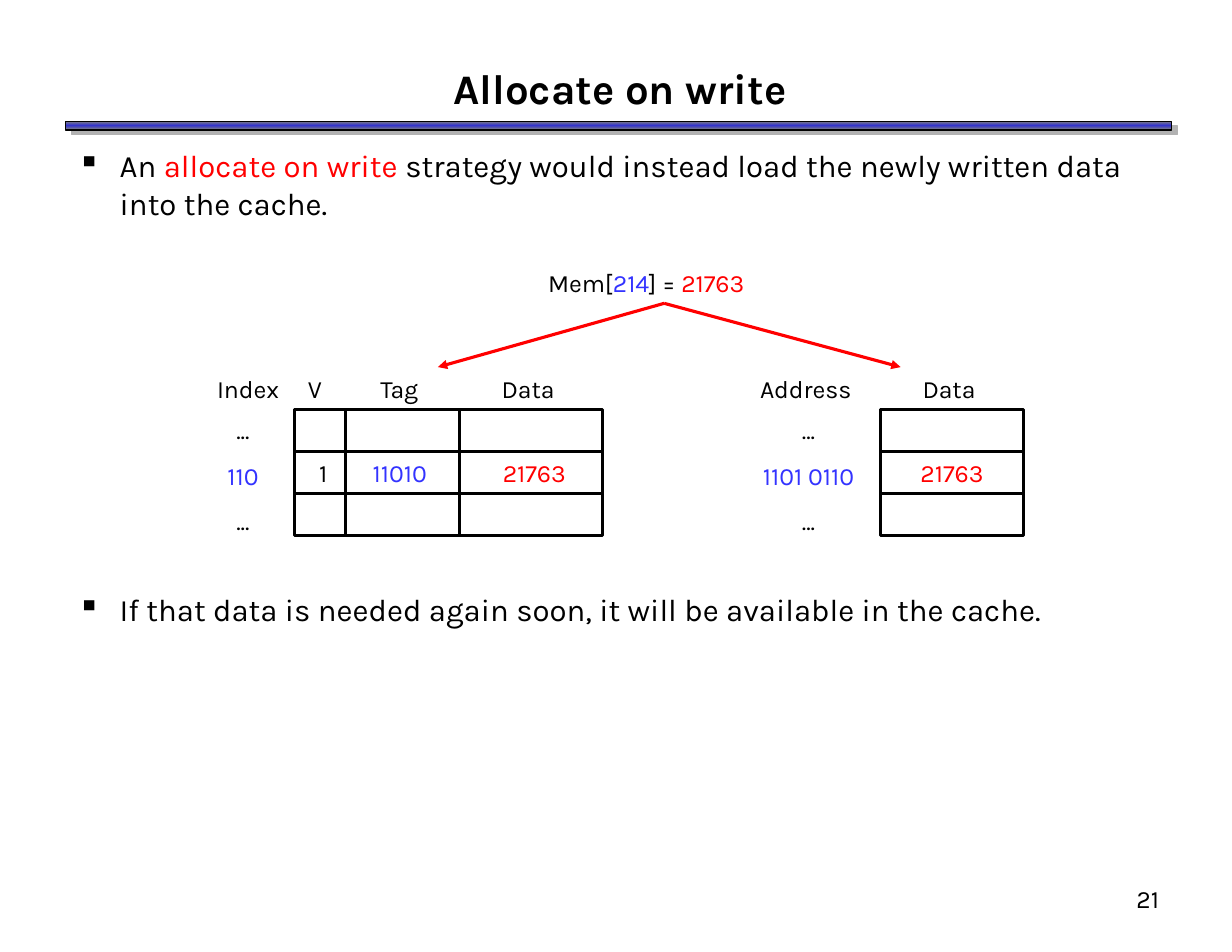
import lxml.etree
import pptx
import pptx.dml.color
import pptx.enum.shapes
import pptx.enum.text
import pptx.oxml
import pptx.oxml.ns
import pptx.util

Pt = pptx.util.Pt
RGBColor = pptx.dml.color.RGBColor
ALIGN = pptx.enum.text.PP_ALIGN
ANCHOR = pptx.enum.text.MSO_ANCHOR
RECTANGLE = pptx.enum.shapes.MSO_SHAPE.RECTANGLE
qn = pptx.oxml.ns.qn
NS = pptx.oxml.ns.nsdecls("a")

BLACK = RGBColor(0x00, 0x00, 0x00)
RED = RGBColor(0xFF, 0x00, 0x00)
BLUE = RGBColor(0x33, 0x33, 0xFF)
FONT = "Karla"


def write(paragraph, text, size=16, color=BLACK, bold=False, align=ALIGN.CENTER, before=0):
    paragraph.alignment = align
    paragraph.space_before = Pt(before)
    run = paragraph.add_run()
    run.text = text
    run.font.name = FONT
    run.font.size = Pt(size)
    run.font.bold = bold
    run.font.color.rgb = color


def set_frame(shape, left, top, width, height, anchor=ANCHOR.MIDDLE, wrap=False):
    shape.left, shape.top, shape.width, shape.height = Pt(left), Pt(top), Pt(width), Pt(height)
    frame = shape.text_frame
    frame.auto_size = pptx.enum.text.MSO_AUTO_SIZE.NONE
    frame.word_wrap = wrap
    frame.vertical_anchor = anchor
    frame.margin_left = frame.margin_right = Pt(7.9)
    frame.margin_top = frame.margin_bottom = Pt(4.3)
    return frame


deck = pptx.Presentation()
deck.slide_width, deck.slide_height = Pt(792), Pt(612)
slide = deck.slides.add_slide(deck.slide_layouts[1])
shapes = slide.shapes

title_rule = shapes.add_shape(RECTANGLE, Pt(42), Pt(78), Pt(711), Pt(5.5))
title_rule.line.color.rgb = BLACK
title_rule.line.width = Pt(1)
rule_gradient = pptx.oxml.parse_xml(
    f'<a:gradFill {NS}><a:gsLst>'
    '<a:gs pos="0"><a:srgbClr val="808080"/></a:gs>'
    '<a:gs pos="50000"><a:srgbClr val="3333CC"/></a:gs>'
    '<a:gs pos="100000"><a:srgbClr val="808080"/></a:gs>'
    '</a:gsLst><a:lin ang="5400000" scaled="0"/></a:gradFill>')
title_rule.line._ln.addprevious(rule_gradient)
rule_shadow = pptx.oxml.parse_xml(
    f'<a:effectLst {NS}><a:outerShdw blurRad="0" dist="63500" dir="2220000" algn="ctr" rotWithShape="0">'
    '<a:srgbClr val="B2B2B2"/></a:outerShdw></a:effectLst>')
title_rule.line._ln.addnext(rule_shadow)

title = set_frame(shapes.title, 42, 36, 713, 41, wrap=True)
write(title.paragraphs[0], "Allocate on write", size=27, bold=True)

body = set_frame(slide.placeholders[1], 42, 90, 711, 468, anchor=ANCHOR.TOP, wrap=True)
strategy, benefit = body.paragraphs[0], body.add_paragraph()
for words, color in [
    ("An ", BLACK),
    ("allocate on write", RED),
    (" strategy would instead load the newly written data into the cache.", BLACK),
]:
    write(strategy, words, size=20, color=color, align=ALIGN.LEFT, before=5)
write(benefit, "If that data is needed again soon, it will be available in the cache.",
      size=20, align=ALIGN.LEFT, before=237.5)
for point in (strategy, benefit):
    properties = point._p.get_or_add_pPr()
    properties.set("marL", str(Pt(27)))
    properties.set("indent", str(-Pt(27)))
    bullet_color = lxml.etree.SubElement(properties, qn("a:buClr"))
    lxml.etree.SubElement(bullet_color, qn("a:srgbClr"), val=str(BLACK))
    lxml.etree.SubElement(properties, qn("a:buFontTx"))
    lxml.etree.SubElement(properties, qn("a:buChar"), char="▪")

ROW_TOP, ROW_HEIGHT = 263.5, 27
HEADER_TOP = ROW_TOP - ROW_HEIGHT
WRITTEN_TOP = ROW_TOP + ROW_HEIGHT
columns = [(189.4, 33), (222.4, 72.8), (295.2, 92.2), (566, 92.2)]
for left, width in columns:
    for row in range(3):
        cell = shapes.add_shape(RECTANGLE, Pt(left), Pt(ROW_TOP + row * ROW_HEIGHT),
                                Pt(width), Pt(ROW_HEIGHT))
        cell.fill.background()
        cell.line.color.rgb = BLACK
        cell.line.width = Pt(2)
        cell.shadow.inherit = False

for text, left, top, width, color in [
    ("Index", 130.3, HEADER_TOP, 58.3, BLACK),
    ("V", 189.4, HEADER_TOP, 26, BLACK),
    ("Tag", 234.7, HEADER_TOP, 44, BLACK),
    ("Data", 314, HEADER_TOP, 51, BLACK),
    ("Address", 479.5, HEADER_TOP, 77, BLACK),
    ("Data", 584.6, HEADER_TOP, 51, BLACK),
    ("1", 195.1, WRITTEN_TOP, 25.2, BLACK),
    ("11010", 226, WRITTEN_TOP, 62, BLUE),
    ("21763", 312.5, WRITTEN_TOP, 62, RED),
    ("21763", 581, WRITTEN_TOP, 62, RED),
]:
    label = set_frame(shapes.add_textbox(0, 0, 0, 0), left, top, width, ROW_HEIGHT)
    write(label.paragraphs[0], text, color=color)

for address, left, width in [("110", 134.6, 43.2), ("1101 0110", 473, 93.6)]:
    addresses = set_frame(shapes.add_textbox(0, 0, 0, 0), left, 262.8, width, 85.7)
    write(addresses.paragraphs[0], "...")
    write(addresses.add_paragraph(), address, color=BLUE, before=10)
    write(addresses.add_paragraph(), "...", before=10)

store = set_frame(shapes.add_textbox(0, 0, 0, 0), 337.7, 168, 155.5, 27)
for text, color in [("Mem[", BLACK), ("214", BLUE), ("] = ", BLACK), ("21763", RED)]:
    write(store.paragraphs[0], text, color=color)

for target in (579, 281.5):
    arrow = shapes.add_connector(pptx.enum.shapes.MSO_CONNECTOR.STRAIGHT,
                                 Pt(427), Pt(195), Pt(target), Pt(236))
    arrow.line.color.rgb = RED
    arrow.line.width = Pt(2)
    lxml.etree.SubElement(arrow.line._ln, qn("a:tailEnd"), type="triangle")
    lxml.etree.SubElement(arrow._element.spPr, qn("a:effectLst"))

page_number = set_frame(shapes.add_textbox(0, 0, 0, 0), 588, 564, 165, 41,
                        anchor=ANCHOR.TOP, wrap=True)
write(page_number.paragraphs[0], "21", align=ALIGN.RIGHT)

deck.save("out.pptx")
